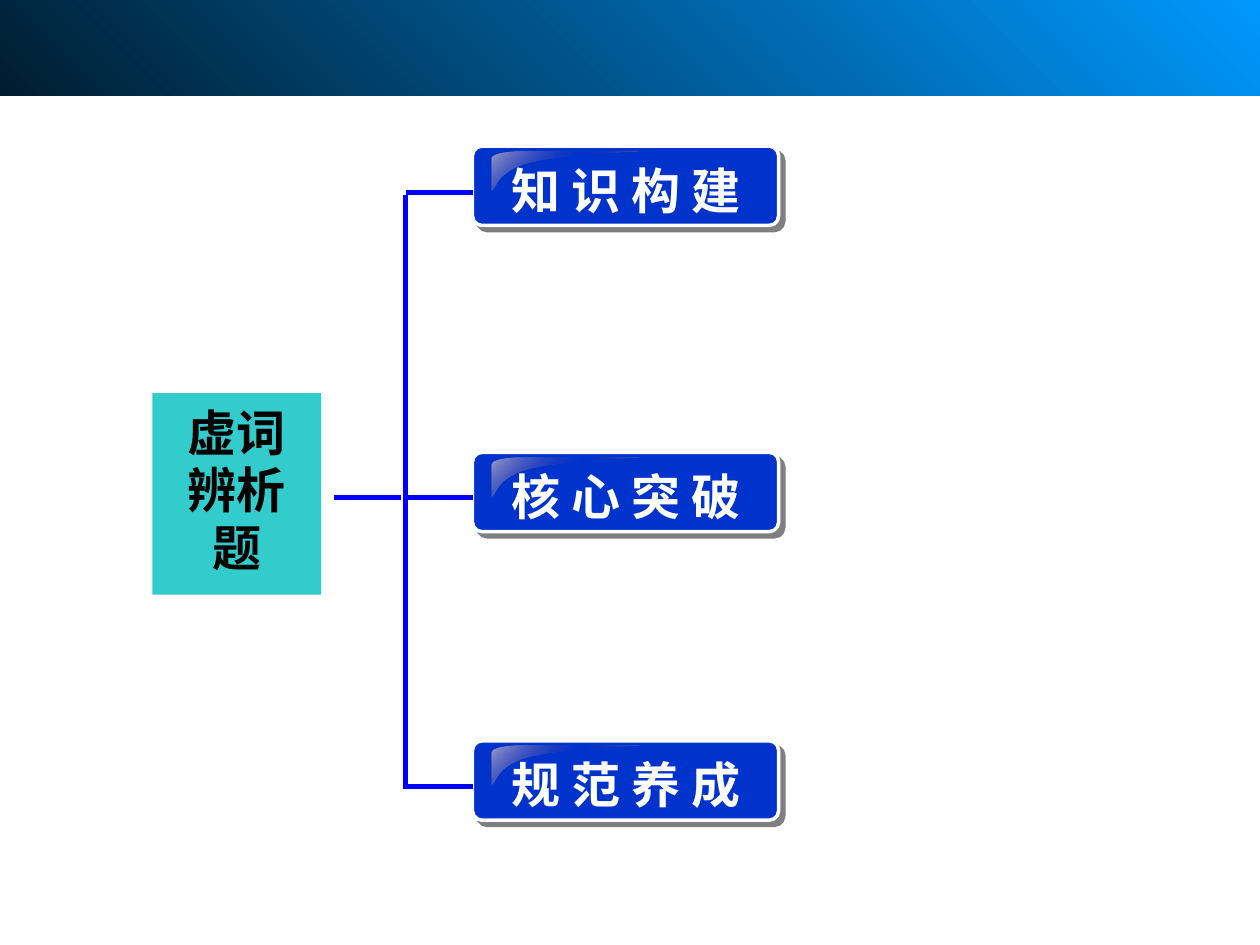
from dataclasses import dataclass

from lxml.etree import SubElement
from pptx import Presentation
from pptx.dml.color import RGBColor
from pptx.enum.shapes import MSO_CONNECTOR, MSO_SHAPE
from pptx.enum.text import MSO_ANCHOR, PP_ALIGN
from pptx.oxml import parse_xml
from pptx.oxml.ns import nsdecls, qn
from pptx.util import Inches, Pt

HUES = {
    "root": "33CCCC", "button": "0033CC", "wire": "0000FF",
    "white": "FFFFFF", "black": "000000",
    "sky": "0099FF", "night": "001D30", "shine": "9B9BCC", "clear": "333399",
}
HAN = "Noto Sans CJK SC"
LEFT = 3.75
STEM = 3.22
CURVES = [
    ((0.24, 0), (0.11, 0), (0, 0.02), (0, 0.06)),
    ((0, 0.31), (0.05, 0.31), (0.02, 0.16), (0.32, 0.09)),
    ((0.32, 0.09), (0.63, 0.02), (1.21, 0.01), (1.19, 0)),
]


@dataclass
class Button:
    text: str
    top: float
    wire: float


@dataclass
class Stop:
    place: int
    hue: str
    alpha: int = 100


BUTTONS = [
    Button("知 识 构 建", 1.16, 1.53),
    Button("核 心 突 破", 3.59, 3.95),
    Button("规 范 养 成", 5.88, 6.24),
]
BAND = [Stop(0, "sky"), Stop(100, "night")]
GLARE = [Stop(0, "shine"), Stop(50, "clear", 0), Stop(100, "shine")]


def color(name: str) -> RGBColor:
    return RGBColor.from_string(HUES[name])


def box(shapes, kind, left: float, top: float, width: float, height: float):
    shape = shapes.add_shape(kind, *map(Inches, (left, top, width, height)))
    shape.shadow.inherit = False
    shape.line.fill.background()
    return shape


def paint(shape, hue: str) -> None:
    shape.fill.solid()
    shape.fill.fore_color.rgb = color(hue)


def blend(shape, stops: list[Stop], angle: int) -> None:
    marks = "".join(
        f'<a:gs pos="{s.place * 1000}"><a:srgbClr val="{HUES[s.hue]}">'
        f'<a:alpha val="{s.alpha * 1000}"/></a:srgbClr></a:gs>'
        for s in stops
    )
    grad = parse_xml(
        f'<a:gradFill {nsdecls("a")} rotWithShape="1"><a:gsLst>{marks}</a:gsLst>'
        f'<a:lin ang="{angle * 60000}" scaled="0"/></a:gradFill>'
    )
    shape._element.spPr.insert(2, grad)


def write(shape, text: str, face: str, hue: str, form: dict, line: dict) -> None:
    frame = shape.text_frame
    for key, value in form.items():
        setattr(frame, key, value)
    para = frame.paragraphs[0]
    for key, value in line.items():
        setattr(para, key, value)
    run = para.add_run()
    run.text = text
    for key, value in {"name": face, "size": Pt(28), "bold": True}.items():
        setattr(run.font, key, value)
    run.font.color.rgb = color(hue)
    SubElement(run._r.get_or_add_rPr(), qn("a:ea"), typeface=HAN)


def point(curve: tuple, t: float) -> tuple[float, float]:
    parts = ((1 - t) ** 3, 3 * t * (1 - t) ** 2, 3 * t * t * (1 - t), t ** 3)
    x, y = (sum(w * p[i] for w, p in zip(parts, curve)) for i in (0, 1))
    return x, y


def shine(shapes, left: float, top: float) -> None:
    dots = [point(c, n / 12) for c in CURVES for n in range(13)]
    spots = [(Inches(left + x), Inches(top + y)) for x, y in dots]
    pen = shapes.build_freeform(*spots[0], scale=1.0)
    pen.add_line_segments(spots[1:], close=True)
    shape = pen.convert_to_shape()
    shape.shadow.inherit = False
    shape.line.fill.background()
    blend(shape, GLARE, 225)


def cast(shape) -> None:
    glow = shape._element.spPr.find(qn("a:effectLst"))
    glow.append(parse_xml(
        f'<a:outerShdw {nsdecls("a")} blurRad="0" dist="{Pt(4.2)}" dir="2700000" '
        f'algn="ctr" rotWithShape="0"><a:srgbClr val="{HUES["black"]}">'
        '<a:alpha val="50000"/></a:srgbClr></a:outerShdw>'
    ))


def press(shapes, item: Button) -> None:
    group = shapes.add_group_shape().shapes
    plate = box(group, MSO_SHAPE.ROUNDED_RECTANGLE, LEFT, item.top, 2.43, 0.63)
    plate.adjustments[0] = 0.12
    paint(plate, "button")
    plate.line.color.rgb = color("white")
    plate.line.width = Pt(2)
    cast(plate)
    shine(group, LEFT + 0.15, item.top + 0.04)
    label = group.add_textbox(
        *map(Inches, (LEFT + 0.21, item.top + 0.06, 4.11, 0.57)))
    form = {"word_wrap": True, "vertical_anchor": MSO_ANCHOR.MIDDLE}
    write(label, item.text, "Times New Roman", "white", form, {})


def wire(shapes, *ends: float) -> None:
    link = shapes.add_connector(MSO_CONNECTOR.STRAIGHT, *map(Inches, ends))
    link.line.color.rgb = color("wire")
    link.line.width = Pt(3)
    SubElement(link._element.spPr, qn("a:effectLst"))


def main() -> None:
    deck = Presentation()
    deck.slide_width, deck.slide_height = Inches(10), Inches(7.5)
    shapes = deck.slides.add_slide(deck.slide_layouts[6]).shapes

    root = box(shapes, MSO_SHAPE.RECTANGLE, 1.21, 3.12, 1.34, 1.6)
    paint(root, "root")
    form = {"word_wrap": True, "vertical_anchor": MSO_ANCHOR.TOP,
            "margin_top": Inches(0.08), "margin_bottom": Inches(0.12)}
    line = {"alignment": PP_ALIGN.CENTER, "line_spacing": Pt(33)}
    write(root, "虚词辨析题", HAN, "black", form, line)

    band = box(shapes, MSO_SHAPE.RECTANGLE, 0, -0.11, 10, 0.87)
    blend(band, BAND, 135)

    for item in BUTTONS:
        press(shapes, item)

    wire(shapes, 2.65, 3.95, 3.18, 3.95)
    wire(shapes, STEM, 1.55, STEM, 6.26)
    for item in BUTTONS:
        wire(shapes, STEM, item.wire, LEFT, item.wire)

    deck.save("out.pptx")


if __name__ == "__main__":
    main()
